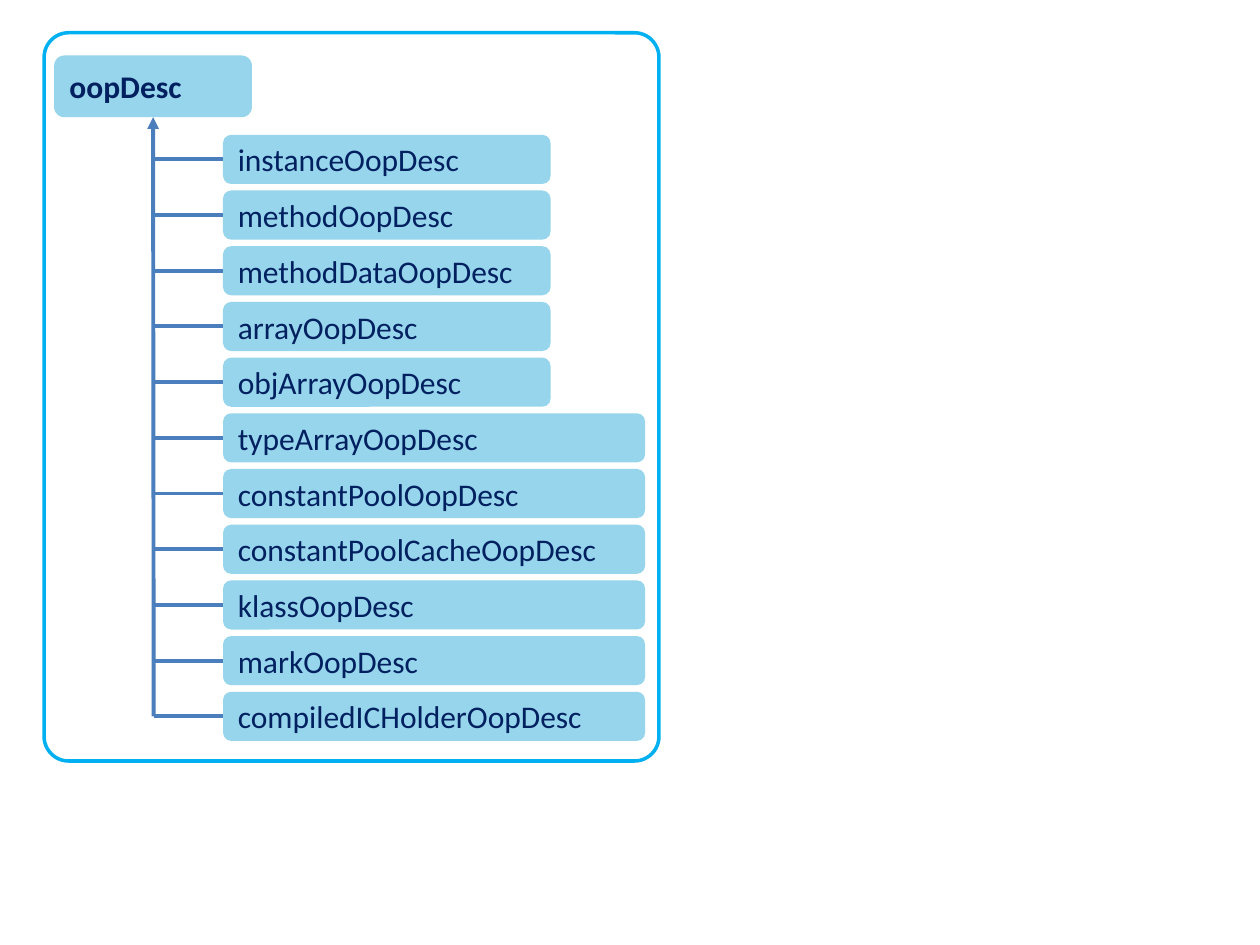
"""Build the oopDesc class hierarchy slide."""
from lxml import etree
from pptx import Presentation
from pptx.dml.color import RGBColor
from pptx.enum import shapes, text
from pptx.oxml import ns
from pptx.util import Inches, Pt

COLORS = {"panel": "FFFFFF", "border": "00B0F0", "box": "96D5EB",
          "text": "002060", "line": "4B7EBC"}
BASE = "oopDesc"
NARROW, WIDE = 2.6, 3.35
SUBCLASSES = [
    ("instanceOopDesc", NARROW),
    ("methodOopDesc", NARROW),
    ("methodDataOopDesc", NARROW),
    ("arrayOopDesc", NARROW),
    ("objArrayOopDesc", NARROW),
    ("typeArrayOopDesc", WIDE),
    ("constantPoolOopDesc", WIDE),
    ("constantPoolCacheOopDesc", WIDE),
    ("klassOopDesc", WIDE),
    ("markOopDesc", WIDE),
    ("compiledICHolderOopDesc", WIDE),
]
LEFT, TOP, HEIGHT, PITCH = 1.77, 1.07, 0.39, 0.442
TRUNK_X = 1.22


def color(name):
    return RGBColor.from_string(COLORS[name])


def add_round_box(page, left, top, width, height, fill):
    box = page.shapes.add_shape(shapes.MSO_SHAPE.ROUNDED_RECTANGLE,
                                *map(Inches, (left, top, width, height)))
    box.shadow.inherit = False
    box.fill.solid()
    box.fill.fore_color.rgb = color(fill)
    box.line.fill.background()
    return box


def add_class(page, name, left, top, width, height, bold=False):
    box = add_round_box(page, left, top, width, height, "box")
    frame = box.text_frame
    frame.text = name
    frame.word_wrap = True
    frame.vertical_anchor = text.MSO_ANCHOR.MIDDLE
    para = frame.paragraphs[0]
    para.alignment = text.PP_ALIGN.LEFT
    font = para.runs[0].font
    font.name, font.size, font.bold = "Calibri", Pt(18), bold
    font.color.rgb = color("text")
    return box


def add_line(page, start, end):
    line = page.shapes.add_connector(shapes.MSO_CONNECTOR.STRAIGHT,
                                     *map(Inches, start + end))
    line.line.color.rgb = color("line")
    line.line.width = Pt(2.25)
    etree.SubElement(line._element.spPr, ns.qn("a:effectLst"))
    return line


def main():
    deck = Presentation()
    deck.slide_width, deck.slide_height = Inches(10), Inches(7.5)
    page = deck.slides.add_slide(deck.slide_layouts[6])

    panel = add_round_box(page, 0.35, 0.26, 4.88, 5.78, "panel")
    panel.adjustments[0] = 0.04
    panel.line.color.rgb = color("border")
    panel.line.width = Pt(2)

    base = add_class(page, BASE, 0.43, 0.44, 1.57, 0.49, bold=True)
    tops = [TOP + row * PITCH for row in range(len(SUBCLASSES))]
    boxes = [add_class(page, name, LEFT, top, width, HEIGHT)
             for (name, width), top in zip(SUBCLASSES, tops)]

    trunk = add_line(page, (TRUNK_X, tops[-1] + HEIGHT / 2), (TRUNK_X, 0.93))
    trunk.end_connect(base, 2)
    etree.SubElement(trunk.line._get_or_add_ln(), ns.qn("a:tailEnd"), type="triangle")
    for box, top in zip(boxes, tops):
        middle = top + HEIGHT / 2
        branch = add_line(page, (LEFT, middle), (TRUNK_X, middle))
        branch.begin_connect(box, 1)

    deck.save("out.pptx")


if __name__ == "__main__":
    main()
